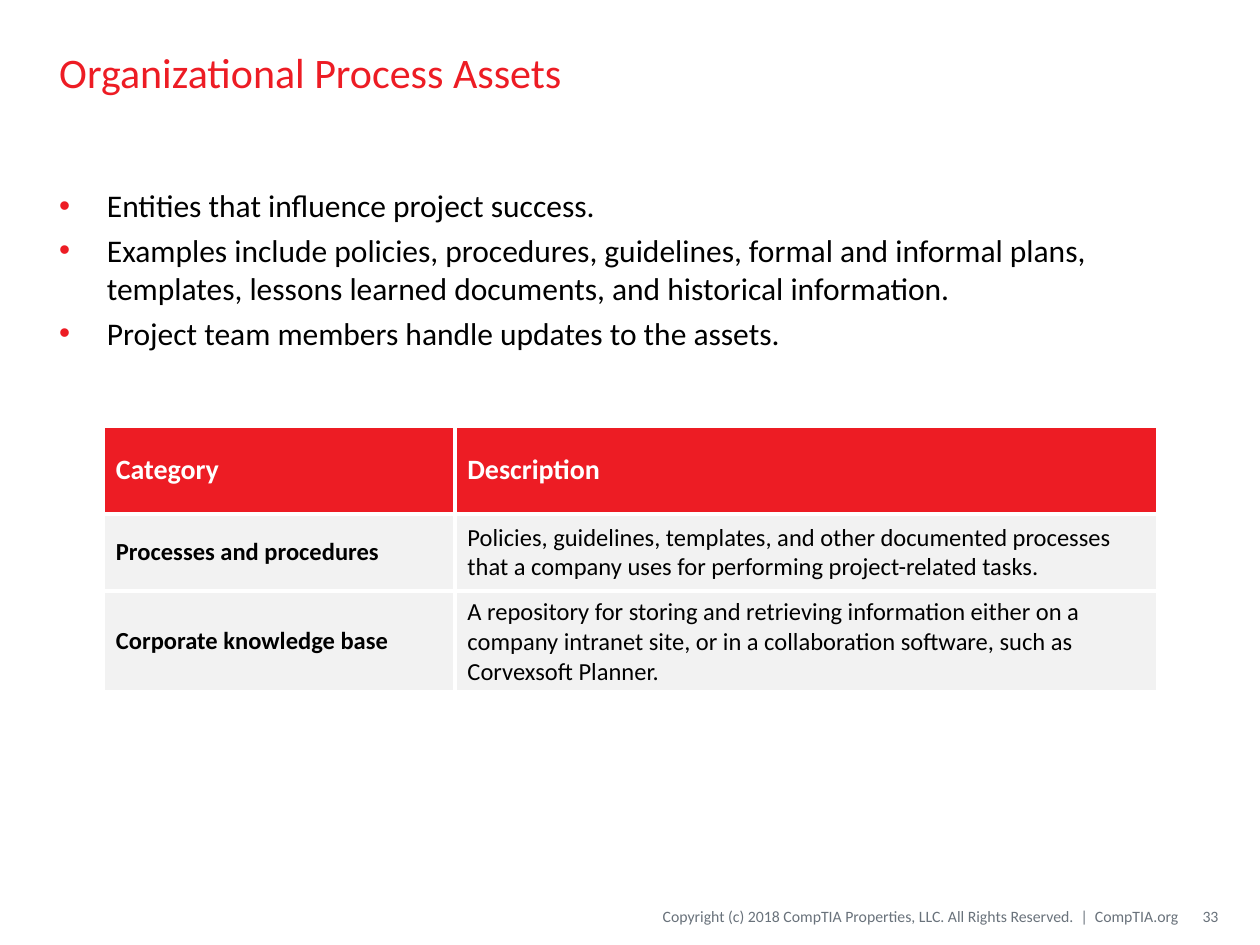
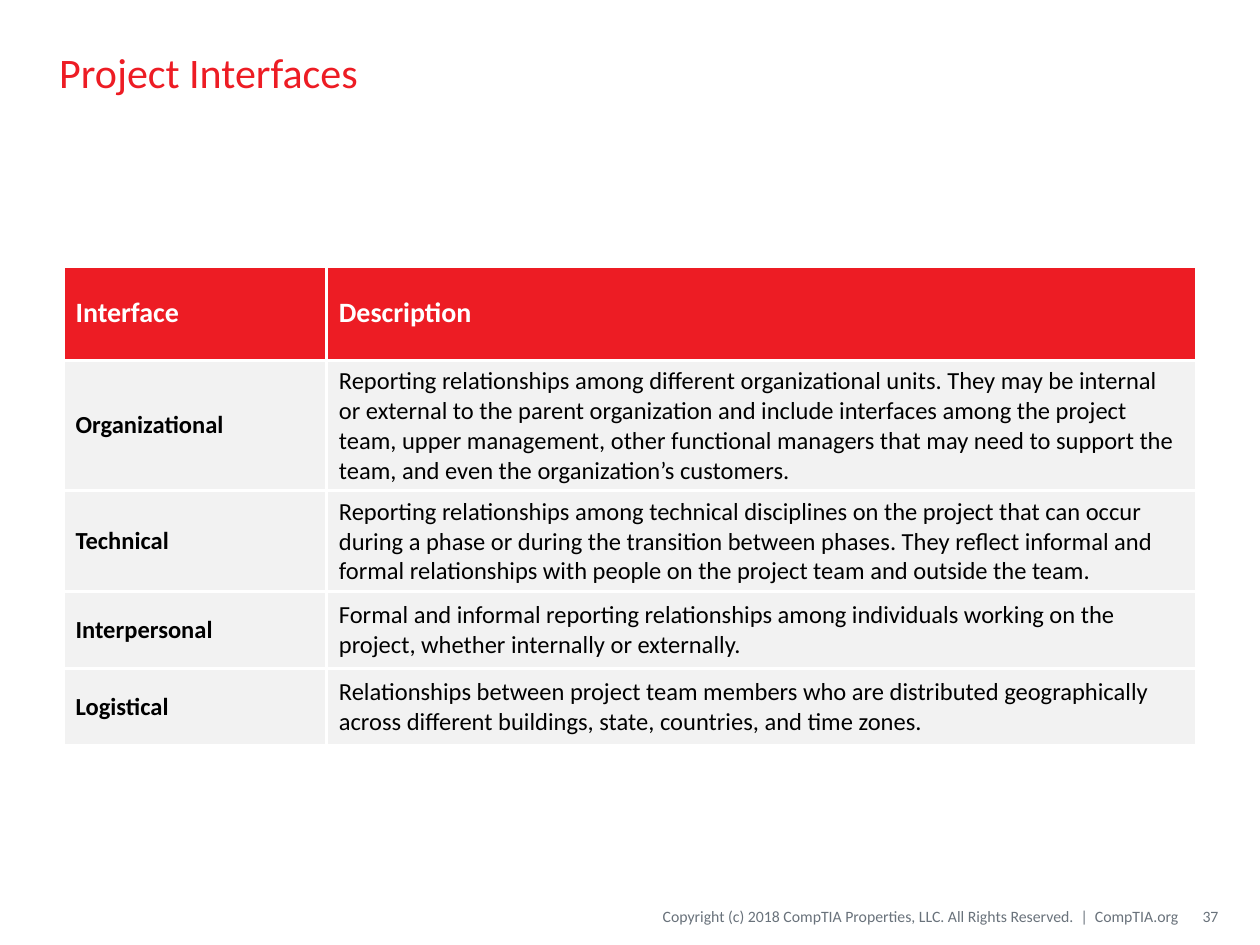
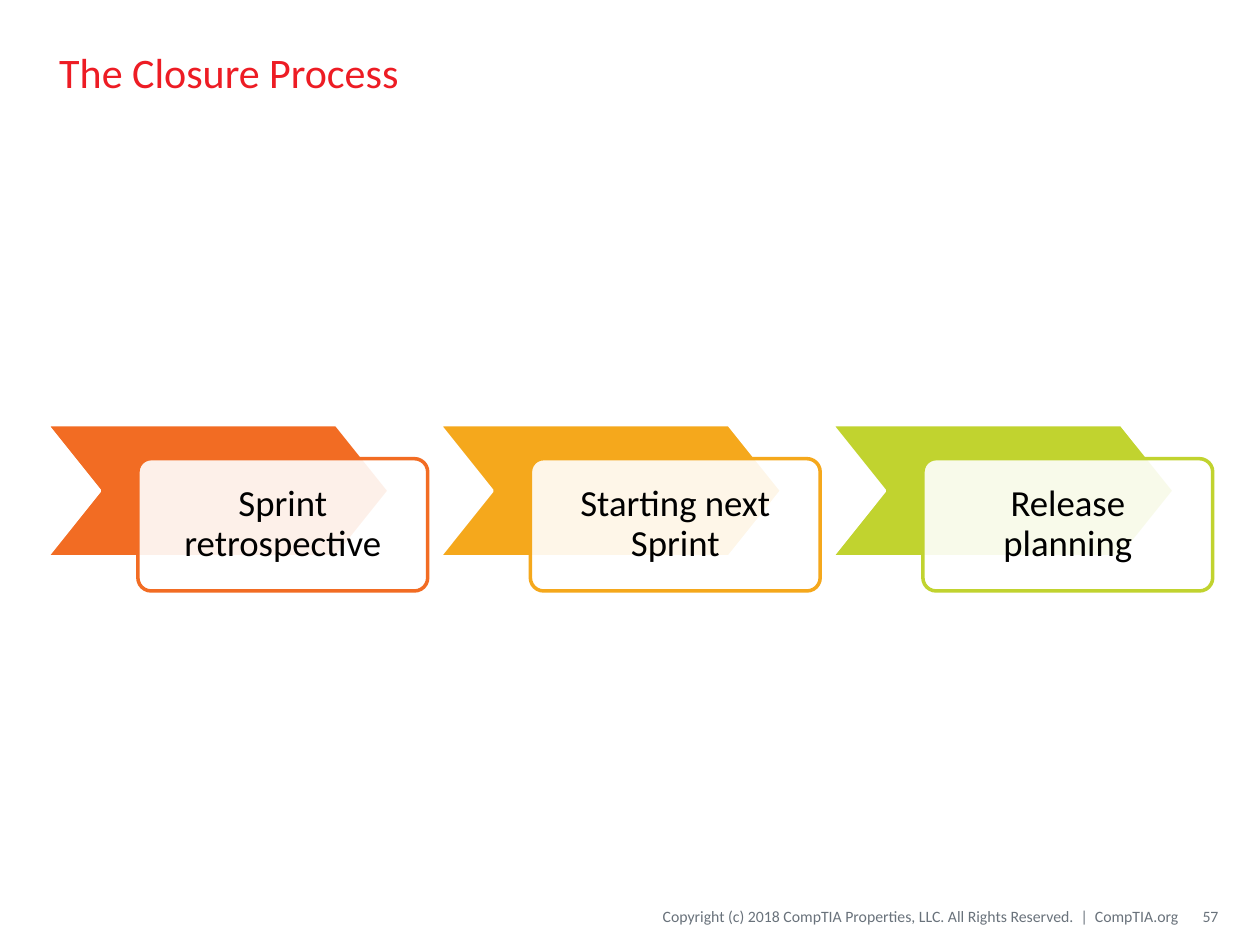
from dataclasses import dataclass

from lxml.etree import SubElement
from pptx import Presentation
from pptx.dml.color import RGBColor as Color
from pptx.enum.shapes import MSO_SHAPE as Shape
from pptx.enum.text import MSO_ANCHOR as Anchor, PP_ALIGN as Align
from pptx.oxml.ns import qn
from pptx.util import Inches, Pt


@dataclass(frozen=True)
class Theme:
    font: str = "Calibri"
    red: str = "ED1C24"
    gray: str = "69727B"
    pale: str = "F2F2F2"
    white: str = "FFFFFF"
    black: str = "000000"
    steps: tuple = ("F26C23", "F5A81C", "C1D32F")
    title_size: int = 24
    body_size: int = 18
    head_size: int = 16
    cell_size: int = 14
    step_size: int = 21
    footer_size: int = 9


COLUMNS, ROWS = 100, 75
LEFT, WIDTH = 3.7, 92.5
COPYRIGHT = "Copyright (c) 2018 CompTIA Properties, LLC. All Rights Reserved.  |  CompTIA.org"


class Deck:
    def __init__(self, theme):
        self.theme = theme
        self.file = Presentation()
        self.file.slide_width, self.file.slide_height = Inches(10), Inches(7.5)
        self.page = None

    def x(self, columns):
        return round(self.file.slide_width * columns / COLUMNS)

    def y(self, rows):
        return round(self.file.slide_height * rows / ROWS)

    def area(self, left, top, width, height):
        return self.x(left), self.y(top), self.x(width), self.y(height)

    def style(self, para, size, color, bold=False, align=Align.LEFT):
        para.alignment = align
        font = para.font
        font.name, font.size, font.bold = self.theme.font, Pt(size), bold
        font.color.rgb = Color.from_string(color)

    def start_page(self, title, number):
        theme = self.theme
        self.page = self.file.slides.add_slide(self.file.slide_layouts[5])
        box = self.page.shapes.title
        box.left, box.top, box.width, box.height = self.area(LEFT, 1.1, WIDTH, 9.2)
        box.text_frame.text = title
        box.text_frame.vertical_anchor = Anchor.MIDDLE
        self.style(box.text_frame.paragraphs[0], theme.title_size, theme.red)
        self.footer(COPYRIGHT, 38.8, 54.7)
        self.footer(str(number), 93.8, 2.9)

    def text_box(self, left, top, width, height):
        box = self.page.shapes.add_textbox(*self.area(left, top, width, height))
        box.text_frame.word_wrap = True
        return box.text_frame

    def footer(self, text, left, width):
        frame = self.text_box(left, 71.2, width, 3)
        frame.margin_left = frame.margin_right = 0
        frame.vertical_anchor = Anchor.MIDDLE
        frame.text = text
        self.style(frame.paragraphs[0], self.theme.footer_size, self.theme.gray, align=Align.RIGHT)

    def bullets(self, items, top, height):
        frame = self.text_box(LEFT, top, WIDTH, height)
        frame.text = "\n".join(items)
        for index, para in enumerate(frame.paragraphs):
            settings = para._p.get_or_add_pPr()
            settings.set("marL", str(self.x(3.8)))
            settings.set("indent", str(-self.x(3.8)))
            tint = SubElement(settings, qn("a:buClr"))
            SubElement(tint, qn("a:srgbClr"), val=self.theme.red)
            SubElement(settings, qn("a:buFont"), typeface="Arial")
            SubElement(settings, qn("a:buChar"), char="•")
            if index:
                para.space_before = Pt(4)
            self.style(para, self.theme.body_size, self.theme.black)

    def borders(self, cell):
        settings = cell._tc.get_or_add_tcPr()
        for side in ("lnL", "lnR", "lnT", "lnB"):
            line = SubElement(settings, qn(f"a:{side}"), w=str(Pt(2.25)))
            fill = SubElement(line, qn("a:solidFill"))
            SubElement(fill, qn("a:srgbClr"), val=self.theme.white)

    def table(self, records, left, top, widths, head_height, row_height=6.1):
        theme = self.theme
        heights = [head_height] + [row_height] * (len(records) - 1)
        area = self.area(left, top, sum(widths), sum(heights))
        grid = self.page.shapes.add_table(len(records), len(widths), *area).table
        for column, width in zip(grid.columns, widths):
            column.width = self.x(width)
        for r, record in enumerate(records):
            grid.rows[r].height = self.y(heights[r])
            for c, text in enumerate(record):
                cell = grid.cell(r, c)
                self.borders(cell)
                cell.fill.solid()
                cell.fill.fore_color.rgb = Color.from_string(theme.pale if r else theme.red)
                cell.vertical_anchor = Anchor.MIDDLE
                cell.text = text
                para = cell.text_frame.paragraphs[0]
                if r:
                    self.style(para, theme.cell_size, theme.black, bold=c == 0)
                else:
                    self.style(para, theme.head_size, theme.white, bold=True)

    def shape(self, kind, area, fill, line, adjustment):
        shape = self.page.shapes.add_shape(kind, *self.area(*area))
        shape.shadow.inherit = False
        shape.adjustments[0] = adjustment
        shape.fill.solid()
        shape.fill.fore_color.rgb = Color.from_string(fill)
        shape.line.color.rgb = Color.from_string(line)
        shape.line.width = Pt(2)
        return shape

    def process(self, labels, top, pitch=31.15):
        theme = self.theme
        for index, (label, color) in enumerate(zip(labels, theme.steps)):
            left = LEFT + index * pitch
            self.shape(Shape.CHEVRON, (left, top, 27.2, 10.5), color, theme.white, 0.4)
            card = self.shape(Shape.ROUNDED_RECTANGLE, (left + 7.25, top + 2.7, 23, 10.5),
                              theme.white, color, 0.1)
            tint = card.fill._xPr.find(qn("a:solidFill"))[0]
            SubElement(tint, qn("a:alpha"), val="90000")
            frame = card.text_frame
            frame.word_wrap = True
            frame.vertical_anchor = Anchor.MIDDLE
            frame.margin_left = frame.margin_right = self.x(1.6)
            frame.margin_top = frame.margin_bottom = self.y(1.6)
            frame.text = label
            para = frame.paragraphs[0]
            para.line_spacing = 0.9
            self.style(para, theme.step_size, theme.black, align=Align.CENTER)


def main():
    deck = Deck(Theme())

    # Process assets
    deck.start_page("Organizational Process Assets", 33)
    deck.bullets([
        "Entities that influence project success.",
        "Examples include policies, procedures, guidelines, formal and informal plans, "
        "templates, lessons learned documents, and historical information.",
        "Project team members handle updates to the assets.",
    ], top=14.3, height=15)
    deck.table([
        ("Category", "Description"),
        ("Processes and procedures",
         "Policies, guidelines, templates, and other documented processes that a company "
         "uses for performing project-related tasks."),
        ("Corporate knowledge base",
         "A repository for storing and retrieving information either on a company intranet "
         "site, or in a collaboration software, such as Corvexsoft Planner."),
    ], left=8.2, top=33.8, widths=(27.9, 55.8), head_height=7)

    # Interfaces
    deck.start_page("Project Interfaces", 37)
    deck.table([
        ("Interface", "Description"),
        ("Organizational",
         "Reporting relationships among different organizational units. They may be internal "
         "or external to the parent organization and include interfaces among the project "
         "team, upper management, other functional managers that may need to support the "
         "team, and even the organization’s customers."),
        ("Technical",
         "Reporting relationships among technical disciplines on the project that can occur "
         "during a phase or during the transition between phases. They reflect informal and "
         "formal relationships with people on the project team and outside the team."),
        ("Interpersonal",
         "Formal and informal reporting relationships among individuals working on the "
         "project, whether internally or externally."),
        ("Logistical",
         "Relationships between project team members who are distributed geographically "
         "across different buildings, state, countries, and time zones."),
    ], left=5, top=21.1, widths=(20.9, 69.1), head_height=7.5)

    # Closure steps
    deck.start_page("The Closure Process", 57)
    deck.process(["Sprint retrospective", "Starting next Sprint", "Release planning"], top=33.7)

    deck.file.save("out.pptx")


if __name__ == "__main__":
    main()
